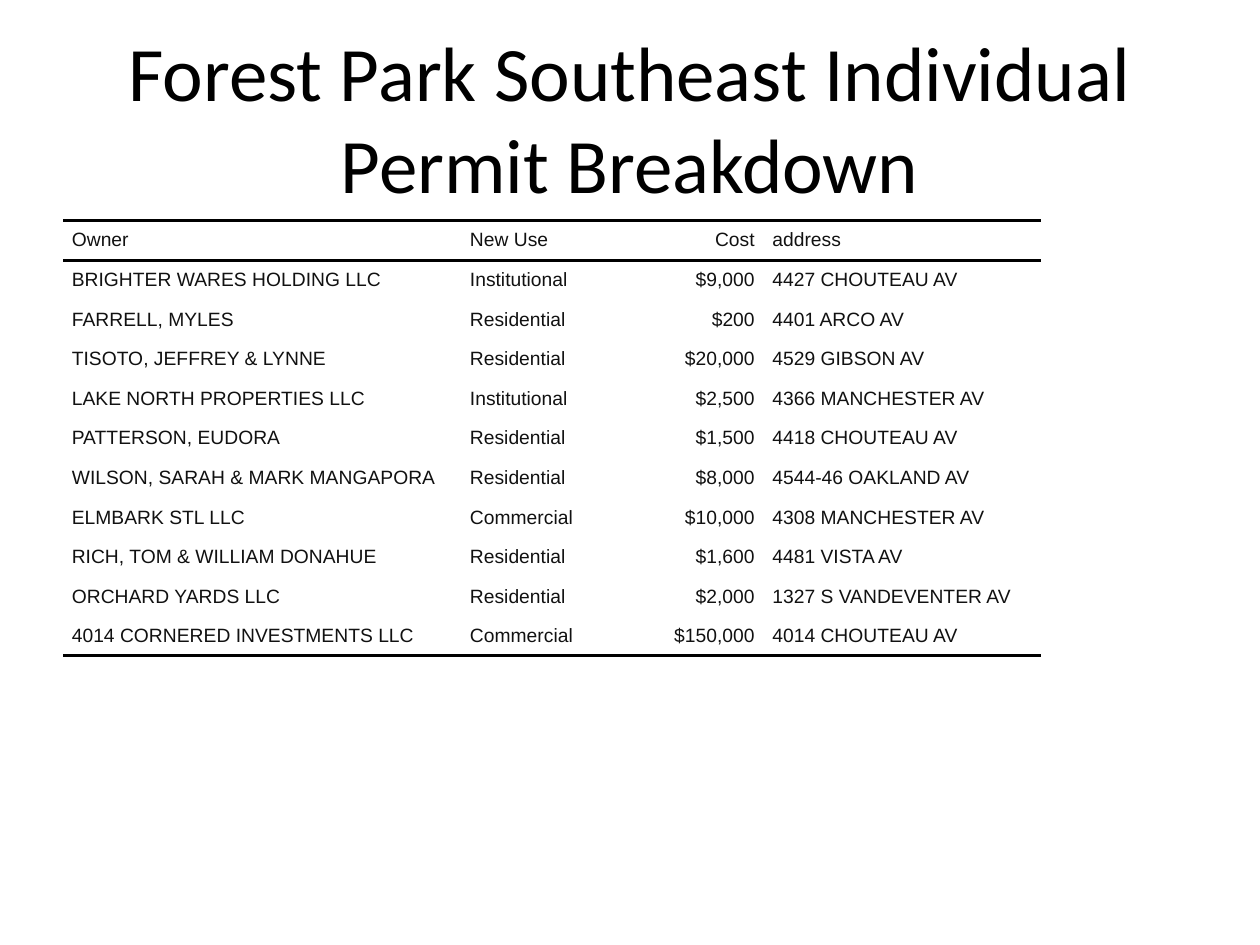
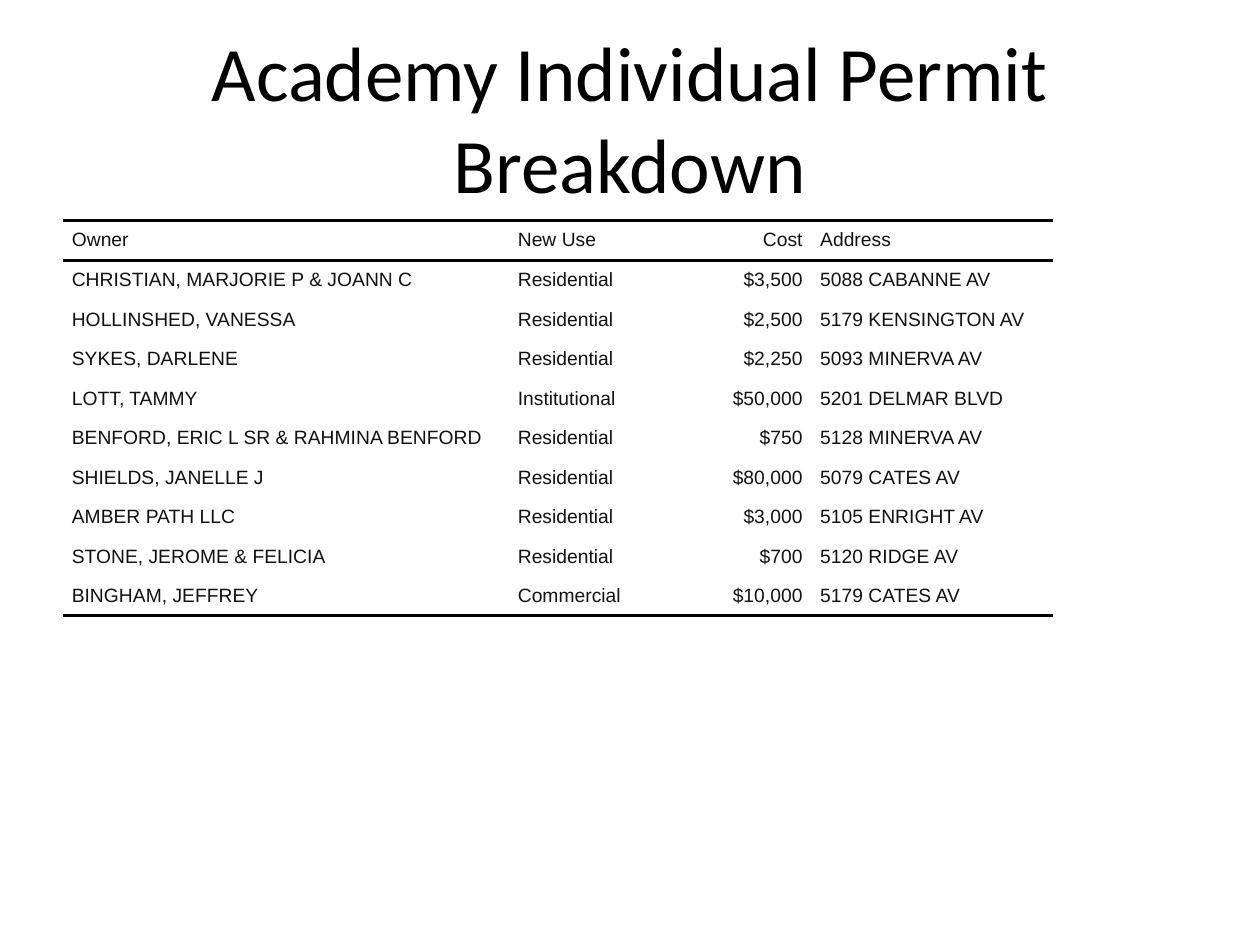
from lxml import etree
from pptx import Presentation
from pptx import util as u
from pptx.dml.color import RGBColor
from pptx.enum import text
from pptx.oxml.ns import qn

BLACK, CELL_TEXT = "000000", "111111"
NO_GRID_STYLE = "{2D5ABB26-0587-4C30-8999-92F81FD0307C}"
CELL_INDENT = u.Inches(0.07)


def style(paragraph, font_name, size, colour, align):
    paragraph.font.name = font_name
    paragraph.font.size = u.Pt(size)
    paragraph.font.color.rgb = RGBColor.from_string(colour)
    paragraph.alignment = align


def add_rule(cell, side):
    """Draw a 2 pt black rule on the top (lnT) or bottom (lnB) of a cell."""
    rule = etree.SubElement(cell._tc.get_or_add_tcPr(), qn(f"a:{side}"), w=str(u.Pt(2)))
    fill = etree.SubElement(rule, qn("a:solidFill"))
    etree.SubElement(fill, qn("a:srgbClr"), val=BLACK)


# Content: title, column widths, table height, rows
breakdowns = [
    ("Forest Park Southeast Individual Permit Breakdown", [3.16, 1.1, 1.3, 2.2], 3.46, [
        ("Owner", "New Use", "Cost", "address"),
        ("BRIGHTER WARES HOLDING LLC", "Institutional", "$9,000", "4427 CHOUTEAU AV"),
        ("FARRELL, MYLES", "Residential", "$200", "4401 ARCO AV"),
        ("TISOTO, JEFFREY & LYNNE", "Residential", "$20,000", "4529 GIBSON AV"),
        ("LAKE NORTH PROPERTIES LLC", "Institutional", "$2,500", "4366 MANCHESTER AV"),
        ("PATTERSON, EUDORA", "Residential", "$1,500", "4418 CHOUTEAU AV"),
        ("WILSON, SARAH & MARK MANGAPORA", "Residential", "$8,000", "4544-46 OAKLAND AV"),
        ("ELMBARK STL LLC", "Commercial", "$10,000", "4308 MANCHESTER AV"),
        ("RICH, TOM & WILLIAM DONAHUE", "Residential", "$1,600", "4481 VISTA AV"),
        ("ORCHARD YARDS LLC", "Residential", "$2,000", "1327 S VANDEVENTER AV"),
        ("4014 CORNERED INVESTMENTS LLC", "Commercial", "$150,000", "4014 CHOUTEAU AV"),
    ]),
    ("Academy Individual Permit Breakdown", [3.54, 1.1, 1.3, 1.92], 3.14, [
        ("Owner", "New Use", "Cost", "Address"),
        ("CHRISTIAN, MARJORIE P & JOANN C", "Residential", "$3,500", "5088 CABANNE AV"),
        ("HOLLINSHED, VANESSA", "Residential", "$2,500", "5179 KENSINGTON AV"),
        ("SYKES, DARLENE", "Residential", "$2,250", "5093 MINERVA AV"),
        ("LOTT, TAMMY", "Institutional", "$50,000", "5201 DELMAR BLVD"),
        ("BENFORD, ERIC L SR & RAHMINA BENFORD", "Residential", "$750", "5128 MINERVA AV"),
        ("SHIELDS, JANELLE J", "Residential", "$80,000", "5079 CATES AV"),
        ("AMBER PATH LLC", "Residential", "$3,000", "5105 ENRIGHT AV"),
        ("STONE, JEROME & FELICIA", "Residential", "$700", "5120 RIDGE AV"),
        ("BINGHAM, JEFFREY", "Commercial", "$10,000", "5179 CATES AV"),
    ]),
]

prs = Presentation()
prs.slide_width, prs.slide_height = u.Inches(10), u.Inches(7.5)

for heading, widths, height, permits in breakdowns:
    slide = prs.slides.add_slide(prs.slide_layouts[6])

    # Title
    title = slide.shapes.add_textbox(
        u.Inches(0.5), u.Inches(0.3), u.Inches(9), u.Inches(1.25)).text_frame
    title.word_wrap = True
    title.vertical_anchor = text.MSO_ANCHOR.MIDDLE
    title.text = heading
    style(title.paragraphs[0], "Calibri", 44, BLACK, text.PP_ALIGN.CENTER)

    # Permit table
    table = slide.shapes.add_table(
        len(permits), len(widths), u.Inches(0.5), u.Inches(1.75),
        u.Inches(sum(widths)), u.Inches(height)).table
    table.horz_banding = False
    table._tbl.tblPr.find(qn("a:tableStyleId")).text = NO_GRID_STYLE
    for column, width in zip(table.columns, widths):
        column.width = u.Inches(width)

    for row, permit in enumerate(permits):
        for col, value in enumerate(permit):
            cell = table.cell(row, col)
            cell.text = value
            cell.vertical_anchor = text.MSO_ANCHOR.MIDDLE
            cell.margin_left = cell.margin_right = 0
            cell.margin_top = cell.margin_bottom = 0

            # Rules around the header and under the last row
            if row == 0:
                add_rule(cell, "lnT")
            if row in (0, len(permits) - 1):
                add_rule(cell, "lnB")
            cell.fill.background()

            # Costs align right
            entry = cell.text_frame.paragraphs[0]
            for margin in ("marL", "marR"):
                entry._p.get_or_add_pPr().set(margin, str(CELL_INDENT))
            align = text.PP_ALIGN.RIGHT if col == 2 else text.PP_ALIGN.LEFT
            style(entry, "Arial", 11, CELL_TEXT, align)

prs.save("out.pptx")
